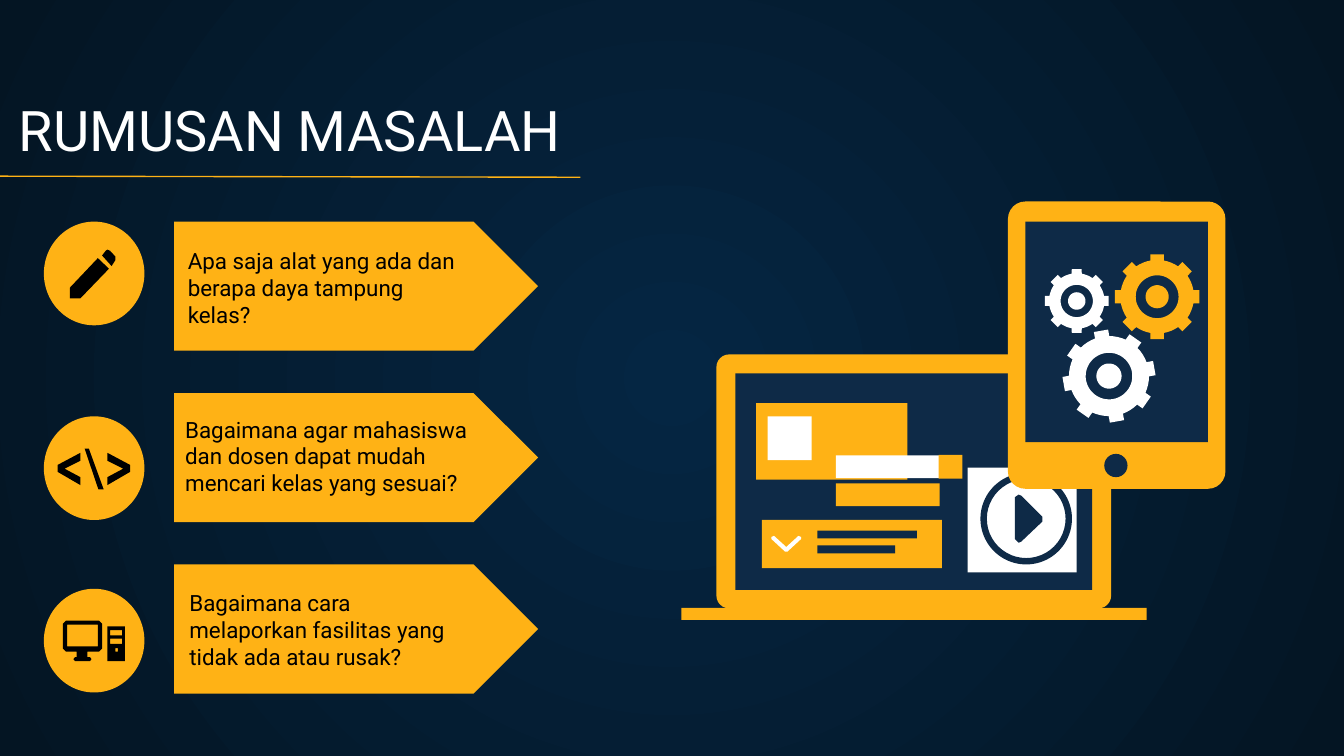
from math import cos, radians, sin

from lxml import etree
from pptx import Presentation
from pptx.dml.color import RGBColor
from pptx.enum.shapes import MSO_CONNECTOR, MSO_SHAPE
from pptx.enum.text import MSO_ANCHOR, MSO_AUTO_SIZE, PP_ALIGN
from pptx.oxml.ns import qn
from pptx.util import Cm, Pt

RECTANGLE = MSO_SHAPE.RECTANGLE
ROUNDED = MSO_SHAPE.ROUNDED_RECTANGLE
OVAL = MSO_SHAPE.OVAL
DONUT = MSO_SHAPE.DONUT
PENTAGON = MSO_SHAPE.PENTAGON
STRAIGHT = MSO_CONNECTOR.STRAIGHT
TOP, MIDDLE, BOTTOM = MSO_ANCHOR.TOP, MSO_ANCHOR.MIDDLE, MSO_ANCHOR.BOTTOM
LEFT = PP_ALIGN.LEFT
NO_AUTOSIZE = MSO_AUTO_SIZE.NONE

COLORS = {
    "yellow": "FFB215",
    "navy": "0E2A47",
    "white": "FFFFFF",
    "black": "000000",
    "glow": "052643",
    "night": "041523",
}
COLORS = {name: RGBColor.from_string(value) for name, value in COLORS.items()}

presentation = Presentation()
presentation.slide_width = Cm(25.4)
presentation.slide_height = Cm(14.29)
slide = presentation.slides.add_slide(presentation.slide_layouts[5])


def draw(color, geometry, box=None, adjustment=None):
    if box:
        shape = slide.shapes.add_shape(geometry, *[Cm(value) for value in box])
        if adjustment is not None:
            shape.adjustments[0] = adjustment
    else:
        contours = [[(Cm(x), Cm(y)) for x, y in contour] for contour in geometry]
        builder = slide.shapes.build_freeform(*contours[0][0])
        builder.add_line_segments(contours[0][1:])
        for contour in contours[1:]:
            builder.move_to(*contour[0])
            builder.add_line_segments(contour[1:])
        shape = builder.convert_to_shape()
    shape.shadow.inherit = False
    shape.fill.solid()
    shape.fill.fore_color.rgb = COLORS[color]
    shape.line.fill.background()
    return shape


def write(shape, text, size, color, anchor):
    frame = shape.text_frame
    frame.word_wrap = True
    frame.auto_size = NO_AUTOSIZE
    frame.vertical_anchor = anchor
    frame.margin_left = frame.margin_right = Cm(0.25)
    frame.margin_top = frame.margin_bottom = Cm(0.25)
    paragraph = frame.paragraphs[0]
    paragraph.alignment = LEFT
    run = paragraph.add_run()
    run.text = text
    run.font.name = "Roboto"
    run.font.size = Pt(size)
    run.font.color.rgb = COLORS[color]


background = slide.background.fill
background.gradient()
for stop, color in zip(background.gradient_stops, ("glow", "night")):
    stop.color.rgb = COLORS[color]
gradient = slide.element.find(".//" + qn("a:gradFill"))
gradient.remove(gradient.find(qn("a:lin")))
circle = etree.SubElement(gradient, qn("a:path"), {"path": "circle"})
etree.SubElement(circle, qn("a:fillToRect"), dict.fromkeys("ltrb", "50000"))

title = slide.shapes.title
title.left, title.top, title.width, title.height = Cm(0.1), Cm(1.65), Cm(21.77), Cm(1.68)
write(title, "RUMUSAN MASALAH", 30, "white", BOTTOM)

underline = slide.shapes.add_connector(STRAIGHT, Cm(0), Cm(3.33), Cm(10.97), Cm(3.35))
underline.line.color.rgb = COLORS["yellow"]
underline.line.width = Pt(0.75)
etree.SubElement(underline.element.spPr, qn("a:effectLst"))

pencil = [
    [(2.03, 4.72), (2.08, 4.74), (2.18, 4.85), (2.18, 4.92), (2.11, 5.03), (1.93, 4.83), (2, 4.74)],
    [(1.85, 4.88), (1.32, 5.44), (1.32, 5.64), (1.52, 5.64), (2.06, 5.08)],
]
opening = [(1.52, 9.17), (1.09, 8.92), (1.09, 8.79), (1.52, 8.56),
           (1.52, 8.71), (1.22, 8.86), (1.52, 9.02)]
closing = [(3.55 - x, y) for x, y in opening]
slash = [(1.86, 9.25), (1.6, 8.48), (1.68, 8.48), (1.96, 9.25)]
monitor = [
    [(1.27, 11.81), (1.85, 11.81), (1.85, 12.22), (1.27, 12.22)],
    [(1.25, 11.73), (1.87, 11.73), (1.93, 11.79), (1.93, 12.26), (1.87, 12.32),
     (1.65, 12.32), (1.65, 12.42), (1.7, 12.42), (1.73, 12.46), (1.7, 12.5),
     (1.42, 12.5), (1.39, 12.46), (1.42, 12.42), (1.45, 12.42), (1.45, 12.32),
     (1.25, 12.32), (1.19, 12.26), (1.19, 11.79)],
]
tower = [
    [(left, top), (right, top), (right, bottom), (left, bottom)]
    for left, top, right, bottom in (
        (2.03, 11.84, 2.36, 12.5),
        (2.08, 11.91, 2.31, 12.01),
        (2.08, 12.07, 2.31, 12.17),
        (2.18, 12.25, 2.23, 12.32),
    )
]

questions = [
    ("Apa saja alat yang ada dan berapa daya tampung kelas?",
     (3.3, 4.24, 5.59, 2.39), 4.19, [pencil]),
    ("Bagaimana agar mahasiswa dan dosen dapat mudah mencari kelas yang sesuai?",
     (3.25, 7.44, 5.84, 2.36), 7.87, [[opening], [slash], [closing]]),
    ("Bagaimana cara melaporkan fasilitas yang tidak ada atau rusak?",
     (3.33, 10.69, 5.77, 2.41), 11.13, [monitor, tower]),
]
for index, (question, text_box, icon_top, icon) in enumerate(questions):
    draw("yellow", PENTAGON, (3.29, 4.19 + 3.24 * index, 6.88, 2.44), 0.5)
    write(slide.shapes.add_textbox(*[Cm(value) for value in text_box]),
          question, 12, "black", MIDDLE)
    draw("yellow", OVAL, (0.83, icon_top, 1.9, 1.96))
    for part in icon:
        draw("black", part)

draw("yellow", ROUNDED, (13.54, 6.7, 7.46, 4.8), 0.05)
laptop_parts = [
    ("navy", (13.9, 7.06, 6.74, 4.09)),
    ("yellow", (12.88, 11.49, 8.79, 0.23)),
    ("yellow", (14.29, 7.62, 2.86, 1.45)),
    ("white", (14.51, 7.87, 0.83, 0.83)),
    ("yellow", (15.29, 9.83, 2.51, 0.91)),
    ("navy", (15.45, 10.03, 1.88, 0.15)),
    ("navy", (15.45, 10.31, 1.47, 0.15)),
    ("yellow", (14.4, 9.83, 0.89, 0.91)),
    ("yellow", (15.8, 9.14, 1.96, 0.43)),
    ("white", (15.8, 8.61, 1.96, 0.43)),
    ("yellow", (17.74, 8.6, 0.45, 0.45)),
    ("white", (18.29, 8.84, 2.06, 1.98)),
]
for color, box in laptop_parts:
    draw(color, RECTANGLE, box)

draw("white", [[(14.58, 10.15), (14.63, 10.13), (14.86, 10.34), (15.09, 10.13), (15.14, 10.15),
                (15.14, 10.19), (14.88, 10.43), (14.84, 10.43), (14.58, 10.19)]])
draw("navy", DONUT, (18.53, 8.94, 1.73, 1.73), 0.07)
draw("navy", [[(19.25, 9.35), (19.18, 9.4), (19.18, 10.19), (19.25, 10.26),
               (19.3, 10.24), (19.7, 9.86), (19.7, 9.77), (19.3, 9.37)]])

draw("yellow", ROUNDED, (19.05, 3.81, 4.11, 5.43), 0.08)
draw("navy", RECTANGLE, (19.38, 4.19, 3.45, 4.17))
draw("navy", OVAL, (20.87, 8.58, 0.44, 0.44))

tooth = [(0.86, -10.4), (1, -8.9), (1, 8.9), (0.86, 10.4), (0.86, 16), (0.86, 22.5), (0.86, 29)]
rim = [(ratio, angle + 45 * turn) for turn in range(8) for ratio, angle in tooth]
hole, hub = [[(ratio, angle) for angle in range(0, 360, 6)] for ratio in (0.5, 0.27)]
gears = [
    ("yellow", 21.87, 5.61, 0.81, 0),
    ("white", 20.35, 5.69, 0.61, 0),
    ("white", 20.96, 7.11, 0.88, -10),
]
for color, center_x, center_y, radius, rotation in gears:
    draw(color, [
        [(center_x + radius * ratio * cos(radians(angle + rotation)),
          center_y + radius * ratio * sin(radians(angle + rotation)))
         for ratio, angle in contour]
        for contour in (rim, hole, hub)
    ])

presentation.save("out.pptx")
